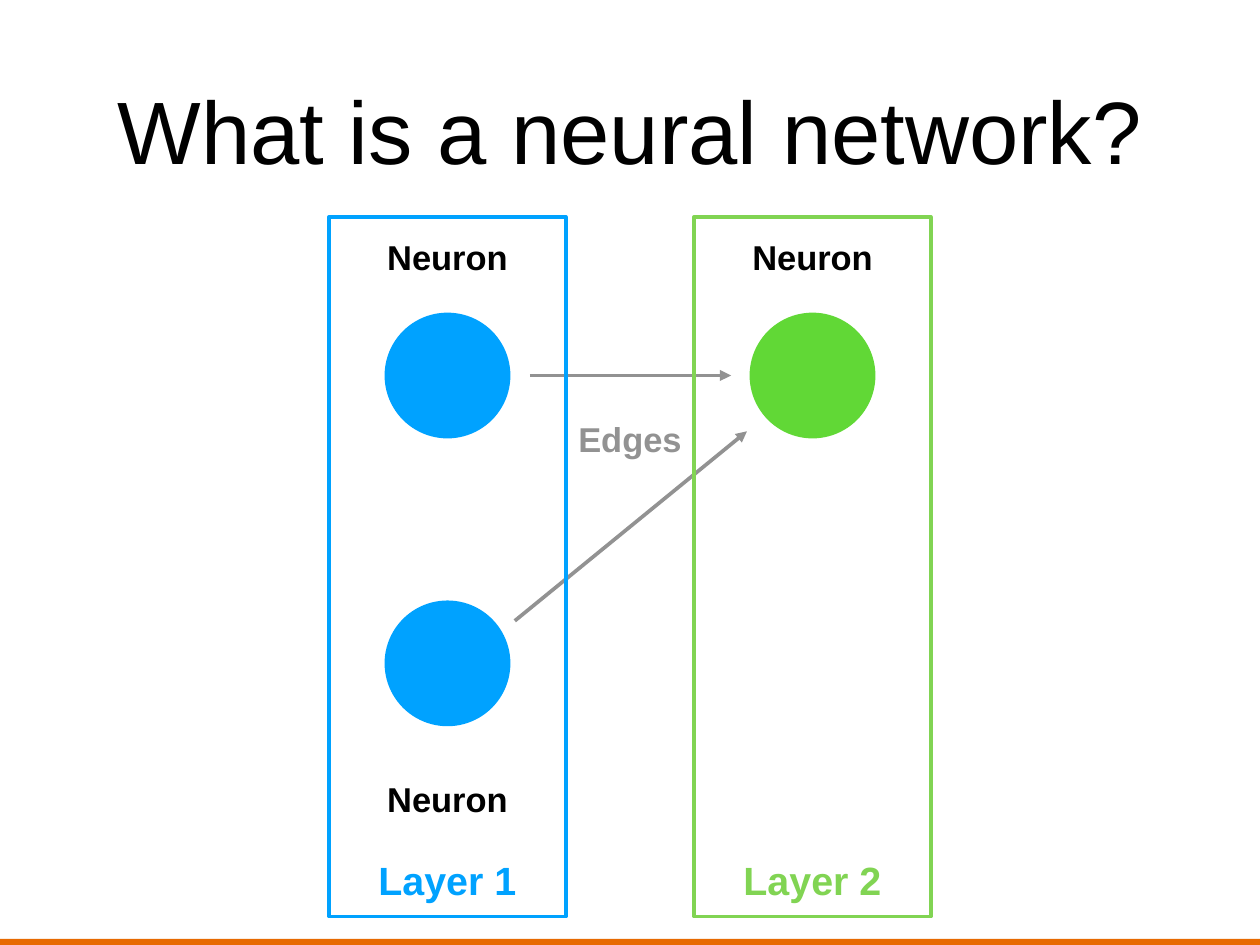
from dataclasses import dataclass

from lxml import etree
from pptx import Presentation
from pptx import util as u
from pptx.dml.color import RGBColor
from pptx.enum import shapes, text
from pptx.oxml import ns

BLACK = RGBColor(0x00, 0x00, 0x00)
GRAY = RGBColor(0x92, 0x92, 0x92)
BLUE = RGBColor(0x00, 0xA2, 0xFF)
GREEN = RGBColor(0x61, 0xD8, 0x36)
LIGHT_GREEN = RGBColor(0x81, 0xD4, 0x53)
ORANGE = RGBColor(0xE7, 0x6A, 0x01)

SLIDE_WIDTH, SLIDE_HEIGHT = 14.22, 10.67
BAR_HEIGHT = 0.07
COLUMN_1, COLUMN_2 = 5.05, 9.17
ROW_1, ROW_2 = 4.24, 7.49
DIAMETER = 1.42
LABEL_WIDTH, LABEL_HEIGHT = 1.76, 0.69
LAYER_TOP, LAYER_WIDTH, LAYER_HEIGHT = 2.45, 2.67, 7.9


@dataclass(frozen=True)
class Neuron:
    x: float
    y: float
    color: RGBColor


@dataclass(frozen=True)
class Edge:
    start: tuple[float, float]
    end: tuple[float, float]


@dataclass(frozen=True)
class Label:
    x: float
    y: float
    wording: str
    color: RGBColor = BLACK


@dataclass(frozen=True)
class Layer:
    x: float
    name: str
    color: RGBColor


NEURONS = [
    Neuron(COLUMN_1, ROW_1, BLUE),
    Neuron(COLUMN_2, ROW_1, GREEN),
    Neuron(COLUMN_1, ROW_2, BLUE),
]
EDGES = [
    Edge((5.98, ROW_1), (8.25, ROW_1)),
    Edge((5.81, 7.01), (8.43, 4.87)),
]
LABELS = [
    Label(COLUMN_2, 2.9, "Neuron"),
    Label(COLUMN_1, 2.9, "Neuron"),
    Label(COLUMN_1, 9.02, "Neuron"),
    Label((COLUMN_1 + COLUMN_2) / 2, 4.95, "Edges", GRAY),
]
LAYERS = [
    Layer(COLUMN_1, "Layer 1", BLUE),
    Layer(COLUMN_2, "Layer 2", LIGHT_GREEN),
]


def write(shape, wording: str, size: float, color: RGBColor, bold: bool = True,
          anchor=text.MSO_ANCHOR.MIDDLE, inset: float = 0.06) -> None:
    """Put one centred line of Arial into the shape."""
    frame = shape.text_frame
    frame.text = wording
    frame.word_wrap = True
    frame.auto_size = text.MSO_AUTO_SIZE.NONE
    frame.vertical_anchor = anchor
    frame.margin_left = frame.margin_right = u.Inches(inset)
    frame.margin_top = frame.margin_bottom = u.Inches(inset)
    paragraph = frame.paragraphs[0]
    paragraph.alignment = text.PP_ALIGN.CENTER
    font = paragraph.runs[0].font
    font.name = "Arial"
    font.size = u.Pt(size)
    font.bold = bold
    font.color.rgb = color


def add_filled(slide, kind, left: float, top: float, width: float, height: float,
               color: RGBColor) -> None:
    shape = slide.shapes.add_shape(
        kind, u.Inches(left), u.Inches(top), u.Inches(width), u.Inches(height))
    shape.shadow.inherit = False
    shape.fill.solid()
    shape.fill.fore_color.rgb = color
    shape.line.fill.background()


def add_title(slide) -> None:
    title = slide.shapes.title
    title.left, title.top = u.Inches(1.04), u.Inches(0.28)
    title.width, title.height = u.Inches(12.14), u.Inches(2.36)
    write(title, "What is a neural network?", 72, BLACK, bold=False)


def add_neuron(slide, neuron: Neuron) -> None:
    add_filled(slide, shapes.MSO_SHAPE.OVAL, neuron.x - DIAMETER / 2,
               neuron.y - DIAMETER / 2, DIAMETER, DIAMETER, neuron.color)


def add_edge(slide, edge: Edge) -> None:
    connector = slide.shapes.add_connector(
        shapes.MSO_CONNECTOR.STRAIGHT,
        *(u.Inches(value) for value in edge.start + edge.end))
    connector.line.color.rgb = GRAY
    connector.line.width = u.Pt(3)
    line = connector.line._get_or_add_ln()
    etree.SubElement(line, ns.qn("a:tailEnd"), type="triangle")
    etree.SubElement(connector._element.spPr, ns.qn("a:effectLst"))


def add_label(slide, label: Label) -> None:
    box = slide.shapes.add_textbox(
        u.Inches(label.x - LABEL_WIDTH / 2), u.Inches(label.y - LABEL_HEIGHT / 2),
        u.Inches(LABEL_WIDTH), u.Inches(LABEL_HEIGHT))
    write(box, label.wording, 28, label.color)


def add_layer(slide, layer: Layer) -> None:
    frame = slide.shapes.add_shape(
        shapes.MSO_SHAPE.RECTANGLE, u.Inches(layer.x - LAYER_WIDTH / 2),
        u.Inches(LAYER_TOP), u.Inches(LAYER_WIDTH), u.Inches(LAYER_HEIGHT))
    frame.shadow.inherit = False
    frame.fill.background()
    frame.line.color.rgb = layer.color
    frame.line.width = u.Pt(3)
    write(frame, layer.name, 32, layer.color,
          anchor=text.MSO_ANCHOR.BOTTOM, inset=0.15)


def main() -> None:
    presentation = Presentation()
    presentation.slide_width = u.Inches(SLIDE_WIDTH)
    presentation.slide_height = u.Inches(SLIDE_HEIGHT)
    title_only = presentation.slide_layouts[5]
    slide = presentation.slides.add_slide(title_only)

    add_title(slide)
    add_filled(slide, shapes.MSO_SHAPE.RECTANGLE, 0, SLIDE_HEIGHT - BAR_HEIGHT,
               SLIDE_WIDTH, BAR_HEIGHT, ORANGE)
    for neuron in NEURONS:
        add_neuron(slide, neuron)
    for edge in EDGES:
        add_edge(slide, edge)
    for label in LABELS:
        add_label(slide, label)
    for layer in LAYERS:
        add_layer(slide, layer)

    presentation.save("out.pptx")


if __name__ == "__main__":
    main()
